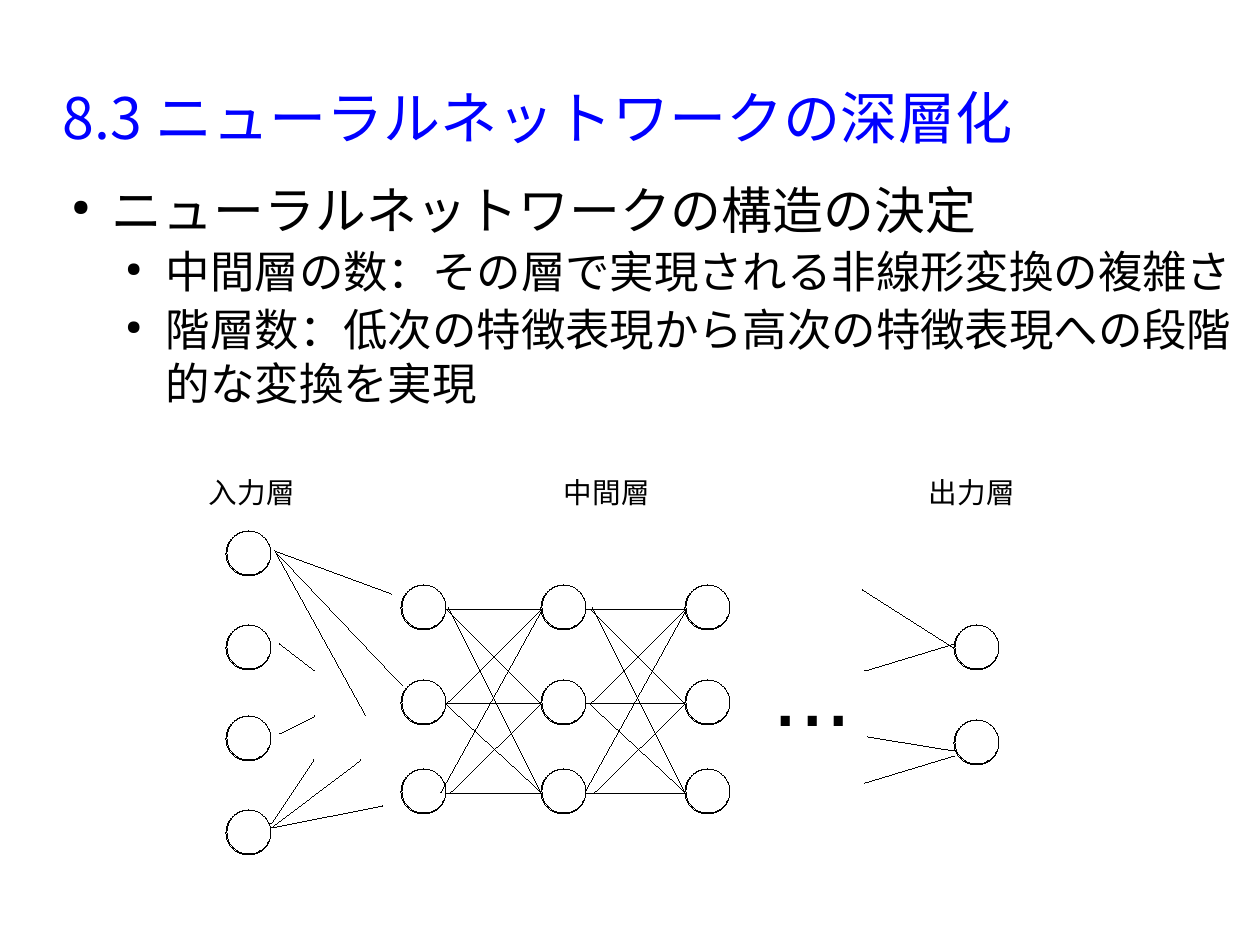
from pptx import Presentation
from pptx.dml.color import RGBColor
from pptx.enum.shapes import MSO_CONNECTOR as Link, MSO_SHAPE as Shape
from pptx.enum.text import MSO_ANCHOR as Anchor, MSO_AUTO_SIZE as Fit
from pptx.oxml.ns import qn
from pptx.util import Pt
from lxml.etree import SubElement as add_sub

PX = 8000  # EMU in one px
SANS = "Noto Sans CJK JP"
BLACK, WHITE, BLUE = "000000", "FFFFFF", "0000FF"
HAIR = Pt(0.01)

TITLE = "8.3 ニューラルネットワークの深層化"
POINTS = [
    (0, 32, "ニューラルネットワークの構造の決定"),
    (1, 28, "中間層の数：その層で実現される非線形変換の複雑さ"),
    (1, 28, "階層数：低次の特徴表現から高次の特徴表現への段階的な変換を実現"),
]
LABELS = [(198, "入力層"), (553, "中間層"), (918, "出力層")]

# Layers of the network: left edge and tops of the nodes
MID = (585, 680, 769)
LAYERS = [
    (226, (531, 625, 716, 810)),
    (401, MID), (541, MID), (685, MID),
    (954, (625, 720)),
]

# Partial links beside the input and output layers
FANS = [
    (392, 594, 275, 551), (403, 686, 275, 551), (366, 716, 275, 551),
    (315, 671, 280, 644), (315, 716, 280, 734),
    (314, 760, 271, 824), (361, 760, 271, 828), (383, 806, 271, 828),
    (863, 590, 954, 648), (865, 671, 954, 644),
    (868, 737, 954, 751), (865, 783, 954, 756),
]

# Links between two middle layers, repeated one step to the right
STEP = 144
ROWS = (610, 704, 794)
CROSS = [
    (542, 610, 441, 792), (541, 704, 449, 794), (541, 610, 446, 704),
    (541, 792, 446, 704), (541, 704, 447, 610), (541, 792, 449, 608),
]


def color(code):
    return RGBColor.from_string(code)


def set_font(para, name, size, code):
    font = para.font
    font.name, font.size = name, Pt(size)
    font.color.rgb = color(code)
    base = para._p.pPr.find(qn("a:defRPr"))
    add_sub(base, qn("a:ea"), typeface=SANS)


def add_box(slide, x, y, w, h, pad=(0, 0), wrap=True):
    box = slide.shapes.add_textbox(x * PX, y * PX, w * PX, h * PX)
    frame = box.text_frame
    frame.word_wrap = wrap
    frame.margin_left = frame.margin_right = pad[0] * PX
    frame.margin_top = frame.margin_bottom = pad[1] * PX
    return frame


def add_label(slide, x, y, w, h, text, size):
    frame = add_box(slide, x, y, w, h, (11, 6), False)
    frame.auto_size = Fit.SHAPE_TO_FIT_TEXT
    para = frame.paragraphs[0]
    para.text = text
    set_font(para, "Arial", size, BLACK)


def add_bullet(para, level):
    props = para._p.get_or_add_pPr()
    props.set("marL", str(54 * (level + 1) * PX))
    props.set("indent", str(-40 * PX))
    tint = add_sub(props, qn("a:buClr"))
    add_sub(tint, qn("a:srgbClr"), val=BLACK)
    add_sub(props, qn("a:buSzPct"), val="45000")
    add_sub(props, qn("a:buChar"), char="●")


def add_points(slide):
    frame = add_box(slide, 58, 179, 1178, 549)
    for i, (level, size, text) in enumerate(POINTS):
        para = frame.add_paragraph() if i else frame.paragraphs[0]
        para.text, para.level = text, level
        para.space_after = Pt(2.8)
        add_bullet(para, level)
        set_font(para, SANS, size, BLACK)


def add_line(slide, x1, y1, x2, y2):
    line = slide.shapes.add_connector(
        Link.STRAIGHT, x1 * PX, y1 * PX, x2 * PX, y2 * PX)
    line.line.color.rgb = color(BLACK)
    line.line.width = HAIR
    add_sub(line._element.spPr, qn("a:effectLst"))


def add_node(slide, x, y):
    # A disc with a slightly smaller ring on top
    for left, size in ((x, 45), (x + 1, 44)):
        disc = slide.shapes.add_shape(
            Shape.OVAL, left * PX, y * PX, size * PX, size * PX)
        disc.shadow.inherit = False
        disc.fill.solid()
        disc.fill.fore_color.rgb = color(WHITE)
        disc.line.color.rgb = color(BLACK)
        disc.line.width = HAIR


def main():
    deck = Presentation()
    deck.slide_width, deck.slide_height = 1260 * PX, 945 * PX
    slide = deck.slides.add_slide(deck.slide_layouts[6])

    # Title and points
    frame = add_box(slide, 63, 38, 1134, 158)
    frame.vertical_anchor = Anchor.MIDDLE
    frame.paragraphs[0].text = TITLE
    set_font(frame.paragraphs[0], SANS, 36, BLUE)
    add_points(slide)

    # Links behind the nodes
    for ends in FANS:
        add_line(slide, *ends)
    for shift in (0, STEP):
        for y in ROWS:
            add_line(slide, 442 + shift, y, 541 + shift, y)

    # Nodes
    for x, tops in LAYERS:
        for y in tops:
            add_node(slide, x, y)

    # Crossing links in front of the nodes
    for shift in (0, STEP):
        for x1, y1, x2, y2 in CROSS:
            add_line(slide, x1 + shift, y1, x2 + shift, y2)

    # Labels
    add_label(slide, 762, 625, 102, 118, "...", 60)
    for x, text in LABELS:
        add_label(slide, x, 469, 109, 54, text, 18)

    deck.save("out.pptx")


if __name__ == "__main__":
    main()
